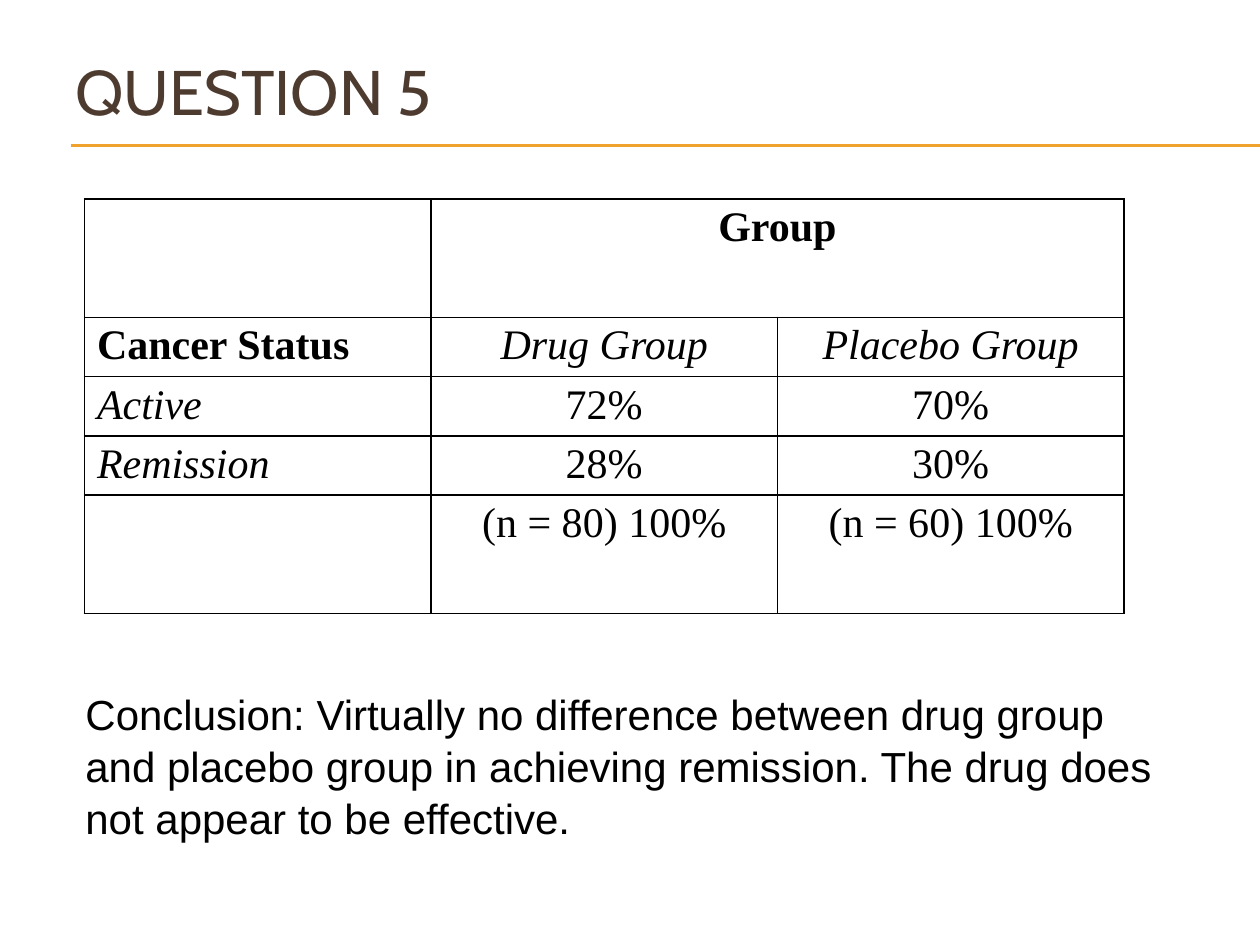
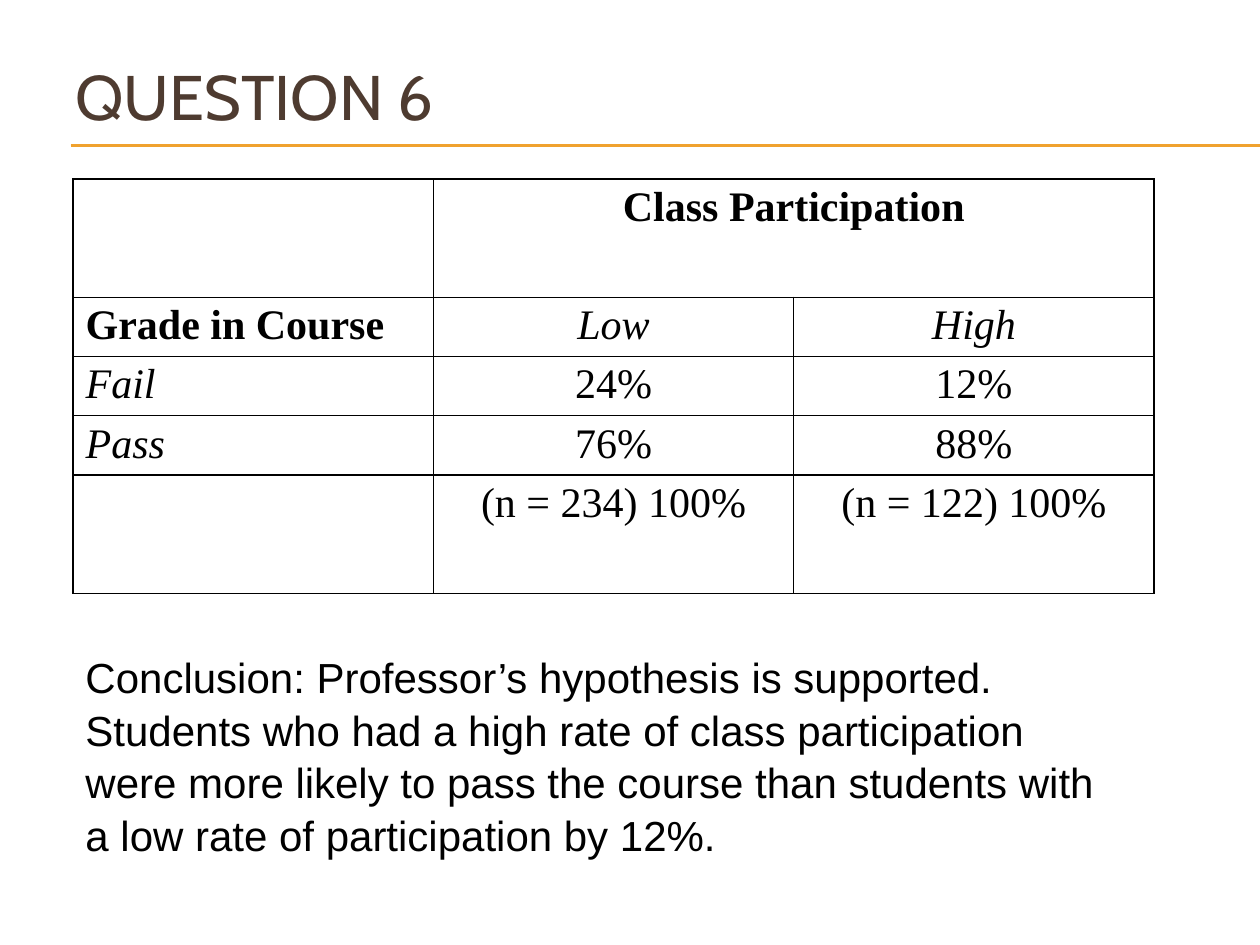
import dataclasses

import lxml.etree
import pptx
import pptx.dml.color
import pptx.enum.shapes
import pptx.enum.text
import pptx.oxml.ns
import pptx.slide
import pptx.table
import pptx.text.text
import pptx.util

# Shared look
BROWN = pptx.dml.color.RGBColor(0x4E, 0x3B, 0x30)
AMBER = pptx.dml.color.RGBColor(0xF0, 0xA2, 0x2E)
BLACK = pptx.dml.color.RGBColor(0x00, 0x00, 0x00)
TITLE_FONT, TABLE_FONT, CONCLUSION_FONT = "Cabin", "Times New Roman", "Arial"
LEFT, CENTER = pptx.enum.text.PP_ALIGN.LEFT, pptx.enum.text.PP_ALIGN.CENTER
MIDDLE = pptx.enum.text.MSO_ANCHOR.MIDDLE

SLIDE_WIDTH, SLIDE_HEIGHT = pptx.util.Inches(10), pptx.util.Inches(7.5)
ROW_UNIT = pptx.util.Inches(0.47)
ROW_UNITS = (2, 1, 1, 1, 2)
COLUMN_COUNT = 3
RULE_START = 0.56
RULE_LEVELS = (1.15, 1.16)


@dataclasses.dataclass(frozen=True)
class Box:
    """A place on the slide, in inches."""
    left: float
    top: float
    width: float
    height: float

    def lengths(self) -> tuple[pptx.util.Length, ...]:
        return tuple(pptx.util.Inches(n) for n in dataclasses.astuple(self))


@dataclasses.dataclass(frozen=True)
class Question:
    title: str
    title_box: Box
    factor: str
    rows: tuple[tuple[str, str, str], ...]
    table_box: Box
    conclusion: str
    conclusion_box: Box


QUESTIONS = (
    Question(
        "QUESTION 5", Box(0.5, 0.27, 9.17, 0.9),
        "Group",
        (("Cancer Status", "Drug Group", "Placebo Group"),
         ("Active", "72%", "70%"),
         ("Remission", "28%", "30%"),
         ("", "(n = 80) 100%", "(n = 60) 100%")),
        Box(0.67, 1.58, 8.25, 3.29),
        "Conclusion: Virtually no difference between drug group and placebo "
        "group in achieving remission. The drug does not appear to be effective.",
        Box(0.58, 5.42, 8.7, 1.3)),
    Question(
        "QUESTION 6", Box(0.5, 0.27, 9.17, 0.98),
        "Class Participation",
        (("Grade in Course", "Low", "High"),
         ("Fail", "24%", "12%"),
         ("Pass", "76%", "88%"),
         ("", "(n = 234) 100%", "(n = 122) 100%")),
        Box(0.58, 1.42, 8.58, 3.29),
        "Conclusion: Professor’s hypothesis is supported. Students who had a "
        "high rate of class participation were more likely to pass the course "
        "than students with a low rate of participation by 12%.",
        Box(0.58, 5.14, 8.38, 1.7)),
)


def write(frame: pptx.text.text.TextFrame, text: str, *, font: str,
          size: float = 24, color: pptx.dml.color.RGBColor = BLACK,
          bold: bool = False, italic: bool = False, align=LEFT,
          spacing: float = 1.0) -> None:
    paragraph = frame.paragraphs[0]
    paragraph.alignment = align
    paragraph.line_spacing = spacing
    run = paragraph.add_run()
    run.text = text
    run.font.name, run.font.size = font, pptx.util.Pt(size)
    run.font.bold, run.font.italic = bold, italic
    run.font.color.rgb = color


def add_title_rules(slide: pptx.slide.Slide, layout: pptx.slide.SlideLayout) -> None:
    """Draw the rules under the title and hand them to the shared layout."""
    for level in RULE_LEVELS:
        y = pptx.util.Inches(level)
        rule = slide.shapes.add_connector(
            pptx.enum.shapes.MSO_CONNECTOR.STRAIGHT,
            pptx.util.Inches(RULE_START), y, SLIDE_WIDTH, y)
        rule.line.color.rgb = AMBER
        rule.line.width = pptx.util.Pt(0.75)
        properties = rule.element.find(pptx.oxml.ns.qn("p:spPr"))
        lxml.etree.SubElement(properties, pptx.oxml.ns.qn("a:effectLst"))
        layout.shapes.element.append(rule.element)


def outline_cell(cell: pptx.table._Cell) -> None:
    """Clear the fill and rule all four sides in black."""
    cell.fill.background()
    properties = cell._tc.get_or_add_tcPr()
    for position, side in enumerate(("lnL", "lnR", "lnT", "lnB")):
        border = lxml.etree.Element(pptx.oxml.ns.qn(f"a:{side}"),
                                    w=str(pptx.util.Pt(1)))
        fill = lxml.etree.SubElement(border, pptx.oxml.ns.qn("a:solidFill"))
        lxml.etree.SubElement(fill, pptx.oxml.ns.qn("a:srgbClr"), val=str(BLACK))
        properties.insert(position, border)


def add_crosstab(slide: pptx.slide.Slide, question: Question) -> None:
    crosstab = slide.shapes.add_table(
        len(ROW_UNITS), COLUMN_COUNT, *question.table_box.lengths()).table
    crosstab.first_row = crosstab.horz_banding = False
    for row, units in zip(crosstab.rows, ROW_UNITS):
        row.height = ROW_UNIT * units
    for cell in crosstab.iter_cells():
        outline_cell(cell)
        cell.margin_top = cell.margin_bottom = pptx.util.Inches(0.04)

    # The factor heads both of its categories
    crosstab.cell(0, 1).merge(crosstab.cell(0, 2))
    write(crosstab.cell(0, 1).text_frame, question.factor,
          font=TABLE_FONT, bold=True, align=CENTER)

    # Labels are italic, the name of the outcome is bold
    for r, entries in enumerate(question.rows, start=1):
        for c, entry in enumerate(entries):
            if entry:
                is_outcome = (r, c) == (1, 0)
                write(crosstab.cell(r, c).text_frame, entry, font=TABLE_FONT,
                      bold=is_outcome,
                      italic=(r == 1 or c == 0) and not is_outcome,
                      align=CENTER if c else LEFT)


def add_question(slide: pptx.slide.Slide, question: Question) -> None:
    # Title
    title = slide.shapes.title
    title.left, title.top, title.width, title.height = question.title_box.lengths()
    title.text_frame.vertical_anchor = MIDDLE
    write(title.text_frame, question.title, font=TITLE_FONT, size=36, color=BROWN)

    add_crosstab(slide, question)

    # Conclusion
    conclusion = slide.shapes.add_textbox(*question.conclusion_box.lengths()).text_frame
    conclusion.word_wrap = True
    conclusion.vertical_anchor = MIDDLE
    write(conclusion, question.conclusion, font=CONCLUSION_FONT, spacing=1.04)


def main() -> None:
    deck = pptx.Presentation()
    deck.slide_width, deck.slide_height = SLIDE_WIDTH, SLIDE_HEIGHT
    layout = deck.slide_layouts.get_by_name("Title Only")
    slides = [deck.slides.add_slide(layout) for _ in QUESTIONS]
    add_title_rules(slides[0], layout)
    for slide, question in zip(slides, QUESTIONS):
        add_question(slide, question)
    deck.save("out.pptx")


if __name__ == "__main__":
    main()
